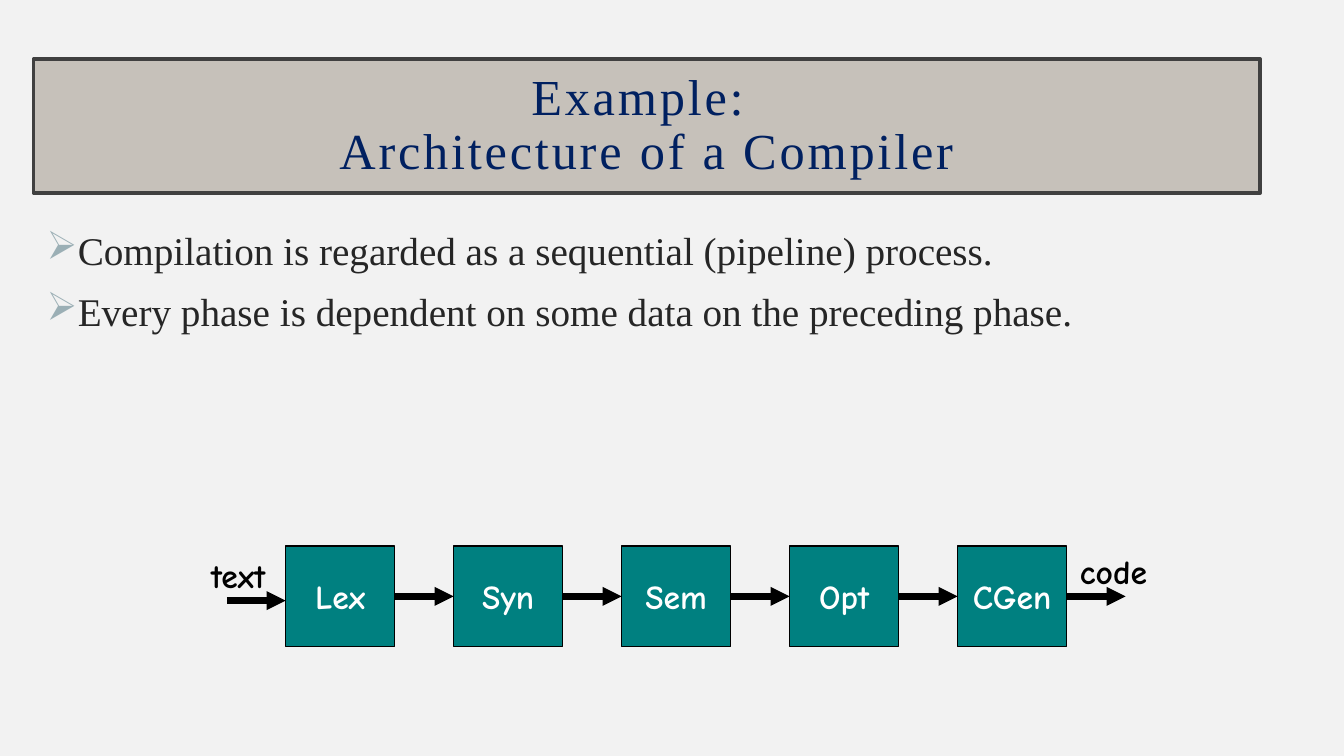
import copy
import dataclasses

import lxml.etree
import pptx
import pptx.dml.color
import pptx.enum.shapes
import pptx.enum.text
import pptx.oxml.ns
import pptx.util

PX = 9525
ANCHOR = pptx.enum.text.MSO_ANCHOR
ALIGN = pptx.enum.text.PP_ALIGN
AUTO = pptx.enum.text.MSO_AUTO_SIZE
SHAPE = pptx.enum.shapes.MSO_SHAPE
STRAIGHT = pptx.enum.shapes.MSO_CONNECTOR.STRAIGHT


@dataclasses.dataclass(frozen=True)
class Theme:
    """Hold the colours, fonts and type sizes."""
    back: str = "F2F2F2"
    band: str = "C6C1BA"
    edge: str = "404040"
    navy: str = "002060"
    ink: str = "262626"
    mark: str = "9BAFB5"
    teal: str = "008080"
    black: str = "000000"
    white: str = "FFFFFF"
    serif: str = "Times New Roman"
    comic: str = "Comic Neue"
    head: int = 36
    body: int = 28
    label: int = 24


THEME = Theme()


def px(*nums):
    """Turn pixels into EMU."""
    return [pptx.util.Emu(num * PX) for num in nums]


def rgb(code):
    """Turn a hex code into a colour."""
    return pptx.dml.color.RGBColor.from_string(code)


def node(parent, tag, **attrs):
    """Add a drawing element to a parent."""
    return lxml.etree.SubElement(parent, pptx.oxml.ns.qn(tag), attrs)


def paint(shape, fill, line, width):
    """Set the fill and outline of a shape."""
    shape.fill.solid()
    shape.fill.fore_color.rgb = rgb(fill)
    shape.line.color.rgb = rgb(line)
    shape.line.width = pptx.util.Pt(width)


def write(para, text, face, size, color, bold=False):
    """Add one run with its font."""
    run = para.add_run()
    run.text = text
    run.font.name = face
    run.font.size = pptx.util.Pt(size)
    run.font.color.rgb = rgb(color)
    run.font.bold = bold
    return run


def label(shape, text, color):
    """Centre a short label in a shape."""
    frame = shape.text_frame
    frame.word_wrap = False
    frame.vertical_anchor = ANCHOR.MIDDLE
    para = frame.paragraphs[0]
    para.alignment = ALIGN.CENTER
    write(para, text, THEME.comic, THEME.label, color, True)


def header(slide, box, lines):
    """Place the title band."""
    title = slide.shapes.title
    title.left, title.top, title.width, title.height = px(*box)
    paint(title, THEME.band, THEME.edge, 2.5)
    frame = title.text_frame
    frame.auto_size = AUTO.NONE
    frame.word_wrap = True
    frame.vertical_anchor = ANCHOR.MIDDLE
    frame.margin_left, frame.margin_top, frame.margin_right, frame.margin_bottom = px(19, 19, 19, 19)
    para = frame.paragraphs[0]
    para.alignment = ALIGN.CENTER
    para.line_spacing = 0.9
    for num, line in enumerate(lines):
        if num:
            para.add_line_break()
            para._p[-1].append(copy.deepcopy(props))
        run = write(para, line, THEME.serif, THEME.head, THEME.navy)
        props = run._r.get_or_add_rPr()
        props.set("spc", "200")


def points(slide, box, items):
    """Place the bulleted list."""
    frame = slide.shapes.add_textbox(*px(*box)).text_frame
    frame.word_wrap = True
    for num, item in enumerate(items):
        para = frame.add_paragraph() if num else frame.paragraphs[0]
        props = para._p.get_or_add_pPr()
        props.set("marL", str(24 * PX))
        props.set("indent", str(-24 * PX))
        node(node(props, "a:buClr"), "a:srgbClr", val=THEME.mark)
        node(props, "a:buChar", char="➢")
        if num:
            para.space_before = pptx.util.Pt(10)
        write(para, item, THEME.serif, THEME.body, THEME.ink)


def arrow(slide, start, end, source=None, target=None):
    """Draw an arrow and join it to the phases it touches."""
    line = slide.shapes.add_connector(STRAIGHT, *px(*start, *end))
    line.line.color.rgb = rgb(THEME.black)
    line.line.width = pptx.util.Pt(4.5)
    node(line.line._get_or_add_ln(), "a:tailEnd", type="triangle")
    node(line._element.spPr, "a:effectLst")
    if source is not None:
        line.begin_connect(source, 3)
    if target is not None:
        line.end_connect(target, 1)


def flow(slide, box, names, gap):
    """Place the row of phases with its arrows and end labels."""
    left, top, width, height = box
    wide = (width - gap * (len(names) - 1)) // len(names)
    mid = top + height // 2
    phases = []
    for num, name in enumerate(names):
        spot = left + num * (wide + gap)
        phase = slide.shapes.add_shape(SHAPE.RECTANGLE, *px(spot, top, wide, height))
        phase.shadow.inherit = False
        paint(phase, THEME.teal, THEME.black, 1)
        label(phase, name, THEME.white)
        phases.append(phase)
    right = left + width
    for text, spot in (("text", (left - 88, top + 4, 86, 48)),
                       ("code", (right, top, 89, 48))):
        note = slide.shapes.add_textbox(*px(*spot))
        label(note, text, THEME.black)
        note.text_frame.auto_size = AUTO.SHAPE_TO_FIT_TEXT
    arrow(slide, (left - gap, mid + 4), (left, mid + 4))
    for num, phase in enumerate(phases):
        start = left + num * (wide + gap) + wide
        after = phases[num + 1] if num + 1 < len(phases) else None
        arrow(slide, (start, mid), (start + gap, mid), phase, after)


def main():
    """Build the slide and save it."""
    deck = pptx.Presentation()
    deck.slide_width, deck.slide_height = px(1280, 720)
    slide = deck.slides.add_slide(deck.slide_layouts.get_by_name("Title Only"))
    slide.background.fill.solid()
    slide.background.fill.fore_color.rgb = rgb(THEME.back)
    header(slide, (32, 56, 1168, 128), ["Example: ", "Architecture of a Compiler"])
    points(slide, (35, 211, 1189, 256), [
        "Compilation is regarded as a sequential (pipeline) process.",
        "Every phase is dependent on some data on the preceding phase.",
    ])
    flow(slide, (272, 520, 744, 96), ["Lex", "Syn", "Sem", "Opt", "CGen"], 56)
    deck.save("out.pptx")


if __name__ == "__main__":
    main()
